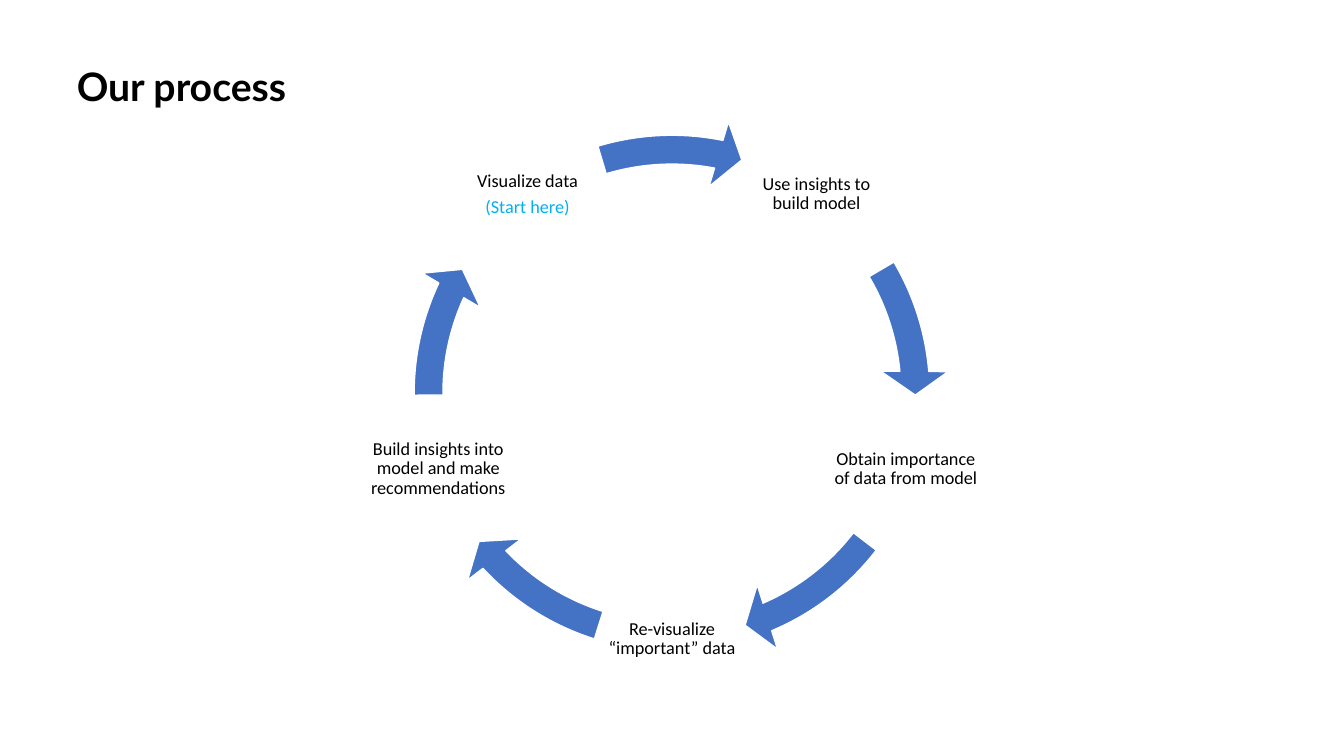
import math

from pptx import Presentation
from pptx import util as u
from pptx.dml.color import RGBColor
from pptx.enum import shapes, text

COLORS = {"ink": "000000", "arrow": "4472C4", "edge": "FFFFFF", "start": "00B0F0"}
CENTER_X, CENTER_Y = 480, 280.8
STEP_RADIUS, STEP_SIZE, RING_SIZE = 175.6, 105.8, 396

# Step lines with their colours, then start and end angle of the arrow that follows.
STEPS = [
    ([("Visualize data", "ink"), ("(Start here)", "start")], 253.31, 281.09),
    ([("Use insights to build model", "ink")], 329.44, 354.88),
    ([("Obtain importance of data from model", "ink")], 37.56, 66.91),
    ([("Re-visualize “important” data", "ink")], 107.5, 136.84),
    ([("Build insights into model and make recommendations", "ink")], 179.52, 204.96),
]


def rgb(name):
    return RGBColor.from_string(COLORS[name])


def write(p, words, *, font="Calibri", size=13, color="ink", bold=False,
          align=text.PP_ALIGN.CENTER, spacing=0.9, before=0, after=0):
    p.alignment, p.line_spacing = align, spacing
    p.space_before, p.space_after = u.Pt(before), u.Pt(after)
    r = p.add_run()
    r.text = words
    r.font.name, r.font.size, r.font.bold = font, u.Pt(size), bold
    r.font.color.rgb = rgb(color)


class CycleSlide:
    def __init__(self, prs):
        self.s = prs.slides.add_slide(prs.slide_layouts[5])

    def frame(self, sp, inset, anchor):
        tf = sp.text_frame
        tf.word_wrap, tf.auto_size = True, text.MSO_AUTO_SIZE.NONE
        tf.vertical_anchor = anchor
        tf.margin_left = tf.margin_right = u.Pt(inset)
        tf.margin_top = tf.margin_bottom = u.Pt(inset)
        return tf

    def title(self, words):
        sp = self.s.shapes.title
        sp.left, sp.top, sp.width, sp.height = map(u.Pt, (45.4, 30.2, 468, 61.2))
        tf = self.frame(sp, 9.4, text.MSO_ANCHOR.TOP)
        write(tf.paragraphs[0], words, font="Lato", size=28, bold=True,
              align=text.PP_ALIGN.LEFT, spacing=1.15)

    def step(self, lines, x, y):
        """Place a square label centred on (x, y)."""
        half = STEP_SIZE / 2
        sp = self.s.shapes.add_textbox(*map(u.Pt, (x - half, y - half, STEP_SIZE, STEP_SIZE)))
        tf = self.frame(sp, 1.3, text.MSO_ANCHOR.MIDDLE)
        for i, (words, color) in enumerate(lines):
            p = tf.add_paragraph() if i else tf.paragraphs[0]
            write(p, words, color=color, after=4.55)

    def arrow(self, start, end):
        """Draw an arc arrow on the ring; angles in degrees, clockwise from the right."""
        half = RING_SIZE / 2
        sp = self.s.shapes.add_shape(
            shapes.MSO_SHAPE.CIRCULAR_ARROW,
            *map(u.Pt, (CENTER_X - half, CENTER_Y - half, RING_SIZE, RING_SIZE)))
        # Angle adjustments count 60000ths of a degree, scaled down by 100000.
        for i, value in enumerate((0.052, 5.6 * 0.6, end * 0.6, start * 0.6, 0.061)):
            sp.adjustments[i] = value
        sp.shadow.inherit = False
        sp.fill.solid()
        sp.fill.fore_color.rgb = rgb("arrow")
        sp.line.color.rgb = rgb("edge")
        sp.line.width = u.Pt(1)


def main():
    prs = Presentation()
    prs.slide_width, prs.slide_height = u.Pt(960), u.Pt(540)
    slide = CycleSlide(prs)
    slide.title("Our process")
    for i, (lines, start, end) in enumerate(STEPS):
        angle = math.radians(-126 + i * 360 / len(STEPS))
        slide.step(lines, CENTER_X + STEP_RADIUS * math.cos(angle),
                   CENTER_Y + STEP_RADIUS * math.sin(angle))
        slide.arrow(start, end)
    prs.save("out.pptx")


if __name__ == "__main__":
    main()
